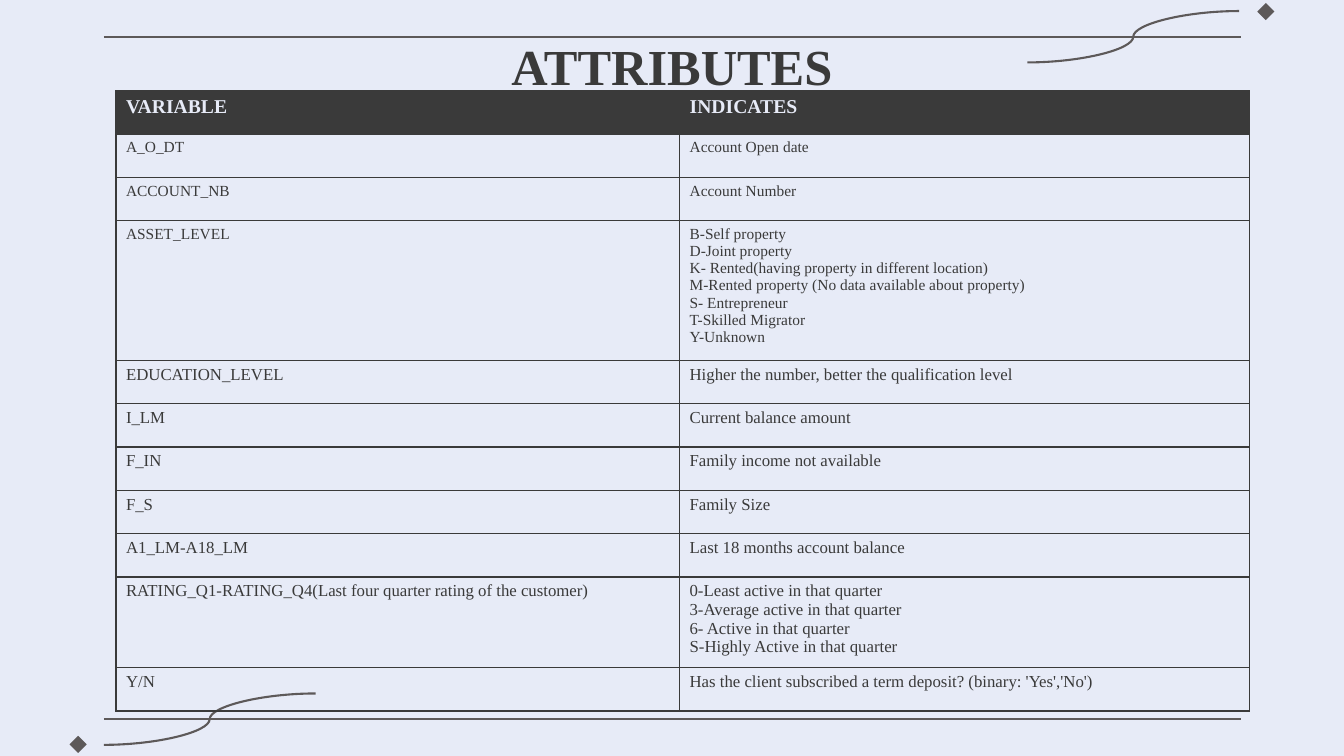
from lxml import etree
from pptx import Presentation
from pptx.dml.color import RGBColor
from pptx.enum.shapes import MSO_CONNECTOR, MSO_SHAPE
from pptx.enum.text import MSO_ANCHOR, PP_ALIGN
from pptx.oxml.ns import qn
from pptx.util import Inches, Pt

STRAIGHT, CURVE = MSO_CONNECTOR.STRAIGHT, MSO_CONNECTOR.CURVE
DIAMOND = MSO_SHAPE.DIAMOND
MIDDLE, TOP = MSO_ANCHOR.MIDDLE, MSO_ANCHOR.TOP
LEFT, CENTER = PP_ALIGN.LEFT, PP_ALIGN.CENTER

FONT = "Times New Roman"
COLORS = {"paper": "E7EBF7", "ink": "3A3A3A", "ornament": "5D5959"}
ROW_HEIGHT = 0.43
COLUMN_WIDTHS = (5.59, 5.65)
CURVE_SIZE = (2.1, 0.51)
DIAMOND_SIZE = 0.17

HEADER = ("VARIABLE", "INDICATES")
ATTRIBUTES = [
    ("A_O_DT", ["Account Open date"], 11, ROW_HEIGHT),
    ("ACCOUNT_NB", ["Account Number"], 11, ROW_HEIGHT),
    ("ASSET_LEVEL", [
        "B-Self property",
        "D-Joint property",
        "K- Rented(having property in different location)",
        "M-Rented property (No data available about property)",
        "S- Entrepreneur",
        "T-Skilled Migrator",
        "Y-Unknown",
    ], 11, 1.35),
    ("EDUCATION_LEVEL", ["Higher the number, better the qualification level"], 12, ROW_HEIGHT),
    ("I_LM", ["Current balance amount"], 12, ROW_HEIGHT),
    ("F_IN", ["Family income not available"], 12, ROW_HEIGHT),
    ("F_S", ["Family Size"], 12, ROW_HEIGHT),
    ("A1_LM-A18_LM", ["Last 18 months account balance"], 12, ROW_HEIGHT),
    ("RATING_Q1-RATING_Q4(Last four quarter rating of the customer)", [
        "0-Least active in that quarter",
        "3-Average active in that quarter",
        "6- Active in that quarter",
        "S-Highly Active in that quarter",
    ], 12, 0.88),
    ("Y/N", ["Has the client subscribed a term deposit? (binary: 'Yes','No')"], 12, ROW_HEIGHT),
]


def rgb(name):
    """Return the palette colour of that name."""
    return RGBColor.from_string(COLORS[name])


def write(frame, lines, size=12, color="ink", bold=False, align=LEFT):
    """Fill a text frame with one formatted paragraph per line."""
    for index, line in enumerate(lines):
        paragraph = frame.add_paragraph() if index else frame.paragraphs[0]
        paragraph.alignment = align
        run = paragraph.add_run()
        run.text = line
        run.font.name = FONT
        run.font.size = Pt(size)
        run.font.bold = bold
        run.font.color.rgb = rgb(color)


def add_stroke(slide, kind, start, end):
    """Draw an ornament line without a shadow."""
    stroke = slide.shapes.add_connector(kind, *map(Inches, start + end))
    stroke.line.color.rgb = rgb("ornament")
    stroke.line.width = Pt(1.5)
    etree.SubElement(stroke._element.spPr, qn("a:effectLst"))


def add_ornament(slide, rule, curve, diamond):
    """Draw a rule with its swash and diamond from their left points."""
    width, rise = CURVE_SIZE
    add_stroke(slide, STRAIGHT, rule, (rule[0] + 11.28, rule[1]))
    add_stroke(slide, CURVE, curve, (curve[0] + width, curve[1] - rise))
    gem = slide.shapes.add_shape(DIAMOND, *map(Inches, diamond + (DIAMOND_SIZE,) * 2))
    gem.shadow.inherit = False
    gem.fill.solid()
    gem.fill.fore_color.rgb = rgb("ornament")
    gem.line.fill.background()


def add_title(slide, box, text):
    """Place the centred heading in its box."""
    frame = slide.shapes.add_textbox(*map(Inches, box)).text_frame
    frame.word_wrap = True
    frame.vertical_anchor = MIDDLE
    frame.margin_left = frame.margin_right = Inches(0.1)
    frame.margin_top = frame.margin_bottom = Inches(0.1)
    write(frame, [text], size=36, bold=True, align=CENTER)


def add_borders(cell):
    """Outline a cell on all four sides."""
    properties = cell._tc.get_or_add_tcPr()
    for side in ("a:lnL", "a:lnR", "a:lnT", "a:lnB"):
        border = etree.SubElement(properties, qn(side), w=str(Pt(1)))
        fill = etree.SubElement(border, qn("a:solidFill"))
        etree.SubElement(fill, qn("a:srgbClr"), val=COLORS["ink"])


def fill_cell(cell, lines, header=False, size=12):
    """Style one table cell and write its lines."""
    add_borders(cell)
    cell.vertical_anchor = TOP
    if header:
        cell.fill.solid()
        cell.fill.fore_color.rgb = rgb("ink")
        write(cell.text_frame, lines, size=14, color="paper", bold=True)
    else:
        cell.fill.background()
        write(cell.text_frame, lines, size=size)


def add_attribute_table(slide, box):
    """Place the table of variables and their meanings."""
    table = slide.shapes.add_table(
        len(ATTRIBUTES) + 1, len(HEADER), *map(Inches, box)).table
    table.horz_banding = False
    for column, width in zip(table.columns, COLUMN_WIDTHS):
        column.width = Inches(width)
    table.rows[0].height = Inches(ROW_HEIGHT)
    for column, label in enumerate(HEADER):
        fill_cell(table.cell(0, column), [label], header=True)
    for row, (variable, meanings, size, height) in enumerate(ATTRIBUTES, 1):
        table.rows[row].height = Inches(height)
        fill_cell(table.cell(row, 0), [variable], size=size)
        fill_cell(table.cell(row, 1), meanings, size=size)


def build():
    """Build and save the attributes slide."""
    deck = Presentation()
    deck.slide_width, deck.slide_height = Inches(13.33), Inches(7.5)
    slide = deck.slides.add_slide(deck.slide_layouts[6])
    slide.background.fill.solid()
    slide.background.fill.fore_color.rgb = rgb("paper")
    add_ornament(slide, rule=(1.03, 7.13), curve=(1.03, 7.39), diamond=(0.69, 7.3))
    add_ornament(slide, rule=(1.03, 0.37), curve=(10.19, 0.62), diamond=(12.47, 0.03))
    add_title(slide, (1.05, 0.23, 11.23, 0.84), "ATTRIBUTES")
    add_attribute_table(slide, (1.15, 0.9, 11.24, 6.15))
    deck.save("out.pptx")


build()
